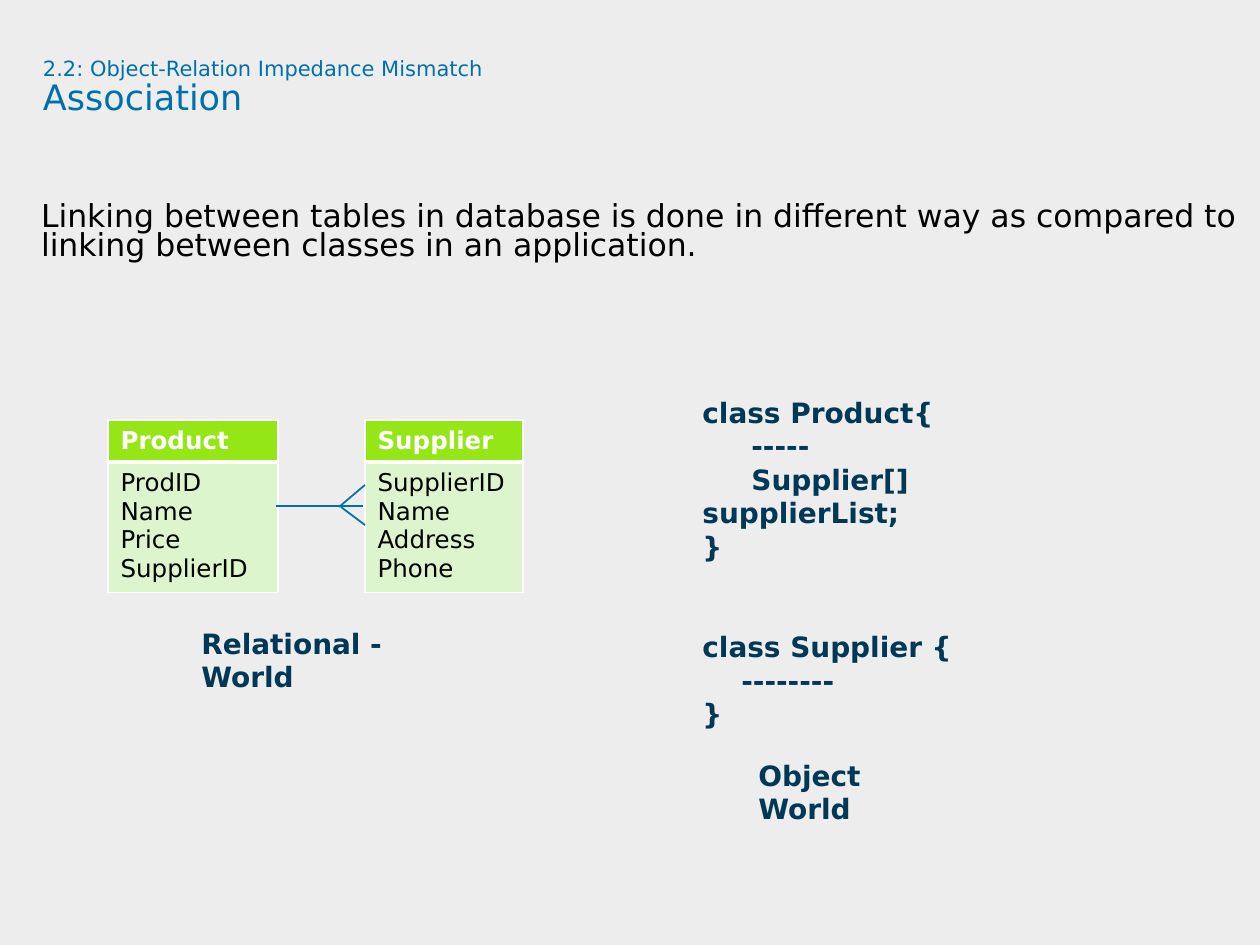
from typing import NamedTuple

from lxml.etree import SubElement
from pptx import Presentation
from pptx.dml.color import RGBColor
from pptx.enum.shapes import MSO_CONNECTOR as Connector
from pptx.oxml.ns import qn
from pptx.util import Emu, Pt

PX_PER_INCH = 126
FONT = "DejaVu Sans"
BLUE, NAVY, BLACK, WHITE = "0070AD", "003856", "000000", "FFFFFF"
BACKGROUND, HEADER_GREEN, BODY_GREEN = "EDEDED", "95E616", "DDF5CC"


class Style(NamedTuple):
    size: int
    color: str
    bold: bool = False


class Line(NamedTuple):
    text: str
    indent: int = 0
    space_before: int = 0


class TextBlock(NamedTuple):
    left: int
    top: int
    width: int
    height: int
    lines: list[Line]


class Entity(NamedTuple):
    left: int
    width: int
    name: str
    fields: list[str]


class Stroke(NamedTuple):
    x1: int
    y1: int
    x2: int
    y2: int


SECTION, HEADING = Style(12, BLUE), Style(20, BLUE)
STATEMENT = Style(18, BLACK)
LABEL = Style(16, NAVY, True)
ENTITY_NAME, ENTITY_FIELD = Style(14, WHITE, True), Style(14, BLACK)

ENTITY_TOP, HEADER_HEIGHT, FIELDS_HEIGHT = 420, 41, 128
ENTITIES = [
    Entity(108, 170, "Product", ["ProdID", "Name", "Price", "SupplierID"]),
    Entity(365, 158, "Supplier", ["SupplierID", "Name", "Address", "Phone"]),
]
CROW_FOOT = [
    Stroke(339, 507, 365, 485),
    Stroke(276, 506, 363, 506),
    Stroke(341, 507, 365, 525),
]
LABELS = [
    TextBlock(746, 752, 202, 47, [Line("Object World")]),
    TextBlock(189, 620, 266, 47, [Line("Relational - World")]),
    TextBlock(690, 389, 407, 318, [
        Line("class Product{"),
        Line("-----", indent=49),
        Line("Supplier[] supplierList;", indent=49),
        Line("}"),
        Line("class Supplier {", space_before=38),
        Line("--------", indent=39),
        Line("}"),
    ]),
]


def px(length: int) -> Emu:
    return Emu(round(length * 914400 / PX_PER_INCH))


def rgb(color: str) -> RGBColor:
    return RGBColor.from_string(color)


def add_run(paragraph, text: str, style: Style) -> None:
    run = paragraph.add_run()
    run.text = text
    formats = {"name": FONT, "size": Pt(style.size), "bold": style.bold}
    for attribute, value in formats.items():
        setattr(run.font, attribute, value)
    run.font.color.rgb = rgb(style.color)


def write_lines(frame, lines: list[Line], style: Style) -> None:
    for index, line in enumerate(lines):
        paragraph = frame.add_paragraph() if index else frame.paragraphs[0]
        add_run(paragraph, line.text, style)
        if line.space_before:
            paragraph.space_before = Pt(line.space_before)
        if line.indent:
            properties = paragraph._p.get_or_add_pPr()
            properties.set("marL", "0")
            properties.set("indent", str(px(line.indent)))


def add_frame(slide, left: int, top: int, width: int, height: int,
              inset: bool = True):
    frame = slide.shapes.add_textbox(
        px(left), px(top), px(width), px(height)).text_frame
    frame.word_wrap = True
    if not inset:
        for side in ("left", "top", "right", "bottom"):
            setattr(frame, f"margin_{side}", 0)
    return frame


def format_cell(cell, fill: str, bottom_width: int = 1) -> None:
    properties = cell._tc.get_or_add_tcPr()
    # Borders have to stand before the fill
    for edge, width in {"L": 1, "R": 1, "T": 1, "B": bottom_width}.items():
        border = SubElement(properties, qn(f"a:ln{edge}"), w=str(Pt(width)))
        solid = SubElement(border, qn("a:solidFill"))
        SubElement(solid, qn("a:srgbClr"), val=WHITE)
    cell.fill.solid()
    cell.fill.fore_color.rgb = rgb(fill)


def add_entity(slide, entity: Entity) -> None:
    table = slide.shapes.add_table(
        2, 1, px(entity.left), px(ENTITY_TOP), px(entity.width),
        px(HEADER_HEIGHT + FIELDS_HEIGHT)).table
    for row, height in zip(table.rows, (HEADER_HEIGHT, FIELDS_HEIGHT)):
        row.height = px(height)
    header, fields = table.cell(0, 0), table.cell(1, 0)
    format_cell(header, HEADER_GREEN, bottom_width=3)
    format_cell(fields, BODY_GREEN)
    write_lines(header.text_frame, [Line(entity.name)], ENTITY_NAME)
    write_lines(fields.text_frame, [Line(f) for f in entity.fields], ENTITY_FIELD)


def add_stroke(slide, stroke: Stroke) -> None:
    connector = slide.shapes.add_connector(
        Connector.STRAIGHT, *(px(value) for value in stroke))
    connector.line.color.rgb = rgb(BLUE)
    connector.line.width = Pt(1)
    SubElement(connector._element.spPr, qn("a:effectLst"))


def main() -> None:
    deck = Presentation()
    deck.slide_width, deck.slide_height = px(1260), px(945)
    slide = deck.slides.add_slide(deck.slide_layouts[6])
    slide.background.fill.solid()
    slide.background.fill.fore_color.rgb = rgb(BACKGROUND)

    # Section and title
    title = add_frame(slide, 43, 58, 1145, 118, inset=False).paragraphs[0]
    title.line_spacing = 0.9
    add_run(title, "2.2: Object-Relation Impedance Mismatch", SECTION)
    title.add_line_break()
    add_run(title, "Association", HEADING)

    # Statement
    statement = add_frame(slide, 41, 205, 1219, 640, inset=False).paragraphs[0]
    statement.line_spacing = Pt(16.5)
    add_run(statement, "Linking between tables in database is done in different "
            "way as compared to linking between classes in an application.",
            STATEMENT)

    # Relational tables and their one-to-many link
    for entity in ENTITIES:
        add_entity(slide, entity)
    for stroke in CROW_FOOT:
        add_stroke(slide, stroke)

    # Captions and class code
    for block in LABELS:
        frame = add_frame(slide, *block[:4])
        write_lines(frame, block.lines, LABEL)

    deck.save("out.pptx")


if __name__ == "__main__":
    main()
